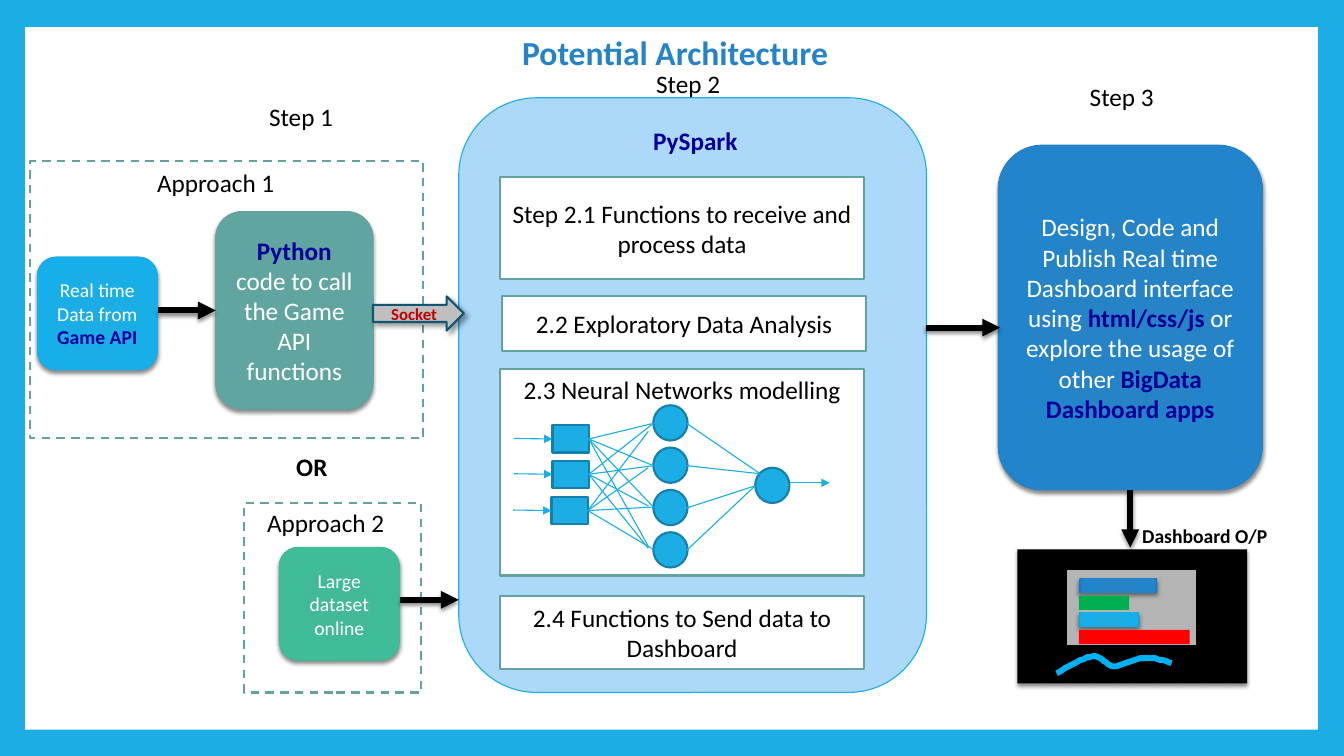
from dataclasses import dataclass

from lxml import etree
from pptx import Presentation
from pptx import util as u
from pptx.dml.color import RGBColor
from pptx.enum import dml, shapes, text
from pptx.oxml.ns import nsdecls, qn

PX = u.Inches(1) // 100  # EMU in one px

RECT = shapes.MSO_SHAPE.RECTANGLE
ROUND = shapes.MSO_SHAPE.ROUNDED_RECTANGLE
OVAL = shapes.MSO_SHAPE.OVAL
ARROW = shapes.MSO_SHAPE.RIGHT_ARROW


@dataclass(frozen=True)
class Theme:
    font: str = "Calibri"
    title: int = 24
    body: int = 18
    small: int = 14
    tiny: int = 12
    thin: float = 0.79
    medium: float = 1.5
    thick: float = 4.25
    white: str = "FFFFFF"
    black: str = "000000"
    navy: str = "000099"
    sky: str = "1CADE4"
    sky_dark: str = "1580A9"
    pale: str = "ACD8FA"
    teal: str = "62A39F"
    blue: str = "2683C6"
    silver: str = "BFBFBF"
    screen: str = "B4B4B4"
    petrol: str = "0E5772"
    crimson: str = "C00000"
    red: str = "FF0000"
    green: str = "00B050"
    curve: str = "00B0F0"


T = Theme()
# Gradient colours at 0, 90 and 100 percent
SKY = (T.sky, "17AFE9", "07A5E1")
BLUE = (T.blue, "2284CA", "1479C2")
TEAL = (T.teal, "60A5A0", "539A95")
MINT = ("42BA97", "3FBD98", "31B48E")
# Shadow opacity %, blur pt, distance pt, angle
SOFT = (45, 3, 2, 90)
SLANTED = (40, 4, 3, 45)


def rgb(value):
    return RGBColor.from_string(value)


def add_effects(sp, shadow=None):
    """Close the shape properties with a shadow, or with none at all."""
    sp_pr = sp.element.spPr
    for old in sp_pr.findall(qn("a:effectLst")):
        sp_pr.remove(old)
    inner = ""
    if shadow:
        alpha, blur, dist, angle = shadow
        inner = (f'<a:outerShdw blurRad="{u.Pt(blur)}" dist="{u.Pt(dist)}" '
                 f'dir="{angle * 60000}" rotWithShape="0"><a:srgbClr val="{T.black}">'
                 f'<a:alpha val="{alpha * 1000}"/></a:srgbClr></a:outerShdw>')
    sp_pr.append(etree.fromstring(f'<a:effectLst {nsdecls("a")}>{inner}</a:effectLst>'))


def fill_gradient(sp, colors):
    sp.fill.gradient()
    grad = sp.element.spPr.find(qn("a:gradFill"))
    stops = "".join(f'<a:gs pos="{pos}"><a:srgbClr val="{color}"/></a:gs>'
                    for pos, color in zip((0, 90000, 100000), colors))
    new = etree.fromstring(
        f'<a:gradFill {nsdecls("a")} rotWithShape="1"><a:gsLst>{stops}</a:gsLst>'
        '<a:path path="circle"><a:fillToRect l="100000" t="100000" r="100000" b="100000"/>'
        '</a:path></a:gradFill>')
    grad.getparent().replace(grad, new)


def write(sp, content, size=T.body, color=T.black, bold=False, center=True, middle=True):
    """Fill a shape with text; pieces between bars are bold navy."""
    tf = sp.text_frame
    tf.word_wrap = True
    tf.vertical_anchor = text.MSO_ANCHOR.MIDDLE if middle else text.MSO_ANCHOR.TOP
    for i, line in enumerate(content.split("\n")):
        p = tf.add_paragraph() if i else tf.paragraphs[0]
        p.alignment = text.PP_ALIGN.CENTER if center else text.PP_ALIGN.LEFT
        for j, piece in enumerate(line.split("|")):
            if piece:
                r = p.add_run()
                r.text = piece
                r.font.name, r.font.size = T.font, u.Pt(size)
                r.font.bold = bold or j % 2 == 1
                r.font.color.rgb = rgb(T.navy if j % 2 else color)


def add_box(parent, kind, at, fill, line=None, width=T.thin, dashed=False, shadow=None):
    sp = parent.add_shape(kind, *(n * PX for n in at))
    if isinstance(fill, tuple):
        fill_gradient(sp, fill)
    else:
        sp.fill.solid()
        sp.fill.fore_color.rgb = rgb(fill)
    if line:
        sp.line.color.rgb = rgb(line)
        sp.line.width = u.Pt(width)
        if dashed:
            sp.line.dash_style = dml.MSO_LINE.DASH
    else:
        sp.line.fill.background()
    add_effects(sp, shadow)
    return sp


def add_label(parent, at, content, **fmt):
    sp = parent.add_textbox(*(n * PX for n in at))
    write(sp, content, center=False, middle=False, **fmt)
    sp.text_frame.auto_size = text.MSO_AUTO_SIZE.SHAPE_TO_FIT_TEXT


def add_line(parent, start, end, color=T.sky, width=T.thin, arrow=False, shadow=None,
             begin_at=None, end_at=None):
    """Draw a line; begin_at and end_at are (shape, side) to join."""
    cx = parent.add_connector(shapes.MSO_CONNECTOR.STRAIGHT, *(n * PX for n in start + end))
    if begin_at:
        cx.begin_connect(*begin_at)
    if end_at:
        cx.end_connect(*end_at)
    cx.line.color.rgb = rgb(color)
    cx.line.width = u.Pt(width)
    if arrow:
        ln = cx.element.spPr.find(qn("a:ln"))
        etree.SubElement(ln, qn("a:tailEnd"), type="triangle")
    add_effects(cx, shadow)


def add_flow(parent, start, end, **joins):
    add_line(parent, start, end, T.black, T.thick, True, SOFT, **joins)


def curve_points(start, segments, steps=10):
    """Sample a chain of cubic curves."""
    for a, b, end in segments:
        for i in range(1, steps + 1):
            t = i / steps
            weights = (1 - t) ** 3, 3 * t * (1 - t) ** 2, 3 * t * t * (1 - t), t ** 3
            yield tuple(sum(w * pt[k] for w, pt in zip(weights, (start, a, b, end)))
                        for k in (0, 1))
        start = end


def add_dashboard(parent):
    group = parent.add_group_shape().shapes
    add_box(group, RECT, (1009, 545, 228, 133), T.black, shadow=SOFT)
    add_box(group, RECT, (1058, 565, 129, 76), T.screen, T.black)
    bars = [(78, BLUE, SOFT), (50, T.green, None), (60, SKY, SOFT), (110, T.red, None)]
    for i, (length, fill, shadow) in enumerate(bars):
        add_box(group, RECT, (1070, 574 + 17 * i, length, 14), fill, shadow=shadow)
    start = (1048, 668)
    segments = [((1062, 660), (1075, 652), (1084, 651)),
                ((1094, 650), (1097, 661), (1105, 661)),
                ((1113, 661), (1125, 653), (1134, 653)),
                ((1144, 652), (1153, 655), (1162, 658))]
    builder = group.build_freeform(*start, scale=PX)
    builder.add_line_segments(list(curve_points(start, segments)), close=False)
    trend = builder.convert_to_shape()
    trend.fill.background()
    trend.line.color.rgb = rgb(T.curve)
    trend.line.width = u.Pt(T.thick)
    add_effects(trend, SOFT)


def add_network(parent):
    node = dict(fill=T.sky, line=T.sky_dark, width=T.medium)
    inputs = []
    for x, y in ((548, 422), (548, 457), (547, 493)):
        inputs.append(add_box(parent, RECT, (x, y, 36, 27), **node))
        add_line(parent, (x - 38, y + 13), (x, y + 13), arrow=True, end_at=(inputs[-1], 1))
    for i in range(4):
        add_box(parent, OVAL, (648, 402 + 42 * i, 34, 35), **node)
    add_box(parent, OVAL, (749, 464, 34, 35), **node)
    hidden_ends = [[(648, 420), (648, 462), (648, 503), (643, 542)],
                   [(648, 420), (648, 462), (643, 502), (643, 544)],
                   [(643, 428), (643, 464), (648, 503), (648, 545)]]
    for sp, ends in zip(inputs, hidden_ends):
        for end in ends:
            add_line(parent, (584, end[1]), end, begin_at=(sp, 3))
    for i, end in enumerate([(754, 470), (754, 470), (749, 482), (749, 482)]):
        add_line(parent, (681, 420 + 42 * i), end)
    add_line(parent, (784, 479), (823, 479), arrow=True)


def main():
    prs = Presentation()
    prs.slide_width, prs.slide_height = 1333 * PX, 750 * PX
    slide = prs.slides.add_slide(prs.slide_layouts[6])
    slide.background.fill.solid()
    slide.background.fill.fore_color.rgb = rgb(T.sky)
    s = slide.shapes

    add_box(s, RECT, (25, 27, 1282, 697), T.white)
    for at in ((30, 160, 390, 275), (242, 499, 176, 188)):
        add_box(s, RECT, at, T.white, T.teal, T.medium, dashed=True)
    add_box(s, ROUND, (455, 97, 464, 590), T.pale, T.sky)

    cards = [
        ((277, 543, 119, 112), MINT, T.small, "Large\ndataset online"),
        ((37, 255, 119, 112), SKY, T.small, "Real time Data from |Game API|"),
        ((214, 210, 156, 196), TEAL, T.body, "|Python |code to call the Game API functions"),
        ((990, 144, 262, 342), BLUE, T.body,
         "Design, Code and Publish Real time Dashboard interface using |html/css/js| "
         "or explore the usage of other |BigData Dashboard apps|"),
    ]
    placed = []
    for at, fill, size, content in cards:
        placed.append(add_box(s, ROUND, at, fill, fill[0], shadow=SOFT))
        write(placed[-1], content, size=size, color=T.white)
    python_card, publish_card = placed[2:]

    add_flow(s, (157, 308), (214, 308), end_at=(python_card, 1))
    add_flow(s, (918, 325), (992, 325))
    add_flow(s, (1121, 486), (1121, 543), begin_at=(publish_card, 2))
    add_flow(s, (397, 595), (455, 595))
    add_dashboard(s)

    panels = [
        ((496, 176, 361, 101), "Step 2.1 Functions to receive and process data", True),
        ((498, 294, 361, 54), "2.2 Exploratory Data Analysis", True),
        ((496, 366, 361, 205), "2.3 Neural Networks modelling", False),
        ((496, 591, 361, 73), "2.4 Functions to Send data to Dashboard", True),
    ]
    for at, content, middle in panels:
        write(add_box(s, RECT, at, T.white, T.teal, T.medium), content, middle=middle)
    add_network(s)

    socket = add_box(s, ARROW, (370, 294, 90, 34), T.silver, T.petrol, T.medium, shadow=SLANTED)
    write(socket, "Socket", size=T.tiny, color=T.crimson, bold=True)

    add_label(s, (508, 27, 338, 50), "Potential Architecture", size=T.title, color=T.blue, bold=True)
    for at, content in [((146, 161, 208, 40), "Approach 1"), ((255, 498, 208, 40), "Approach 2"),
                        ((257, 96, 123, 40), "Step 1"), ((641, 63, 123, 40), "Step 2"),
                        ((1071, 76, 123, 40), "Step 3"), ((638, 119, 123, 40), "|PySpark|")]:
        add_label(s, at, content)
    add_label(s, (284, 443, 70, 40), "OR", bold=True)
    add_label(s, (1123, 515, 157, 34), "Dashboard O/P", size=T.small, bold=True)
    prs.save("out.pptx")


if __name__ == "__main__":
    main()
